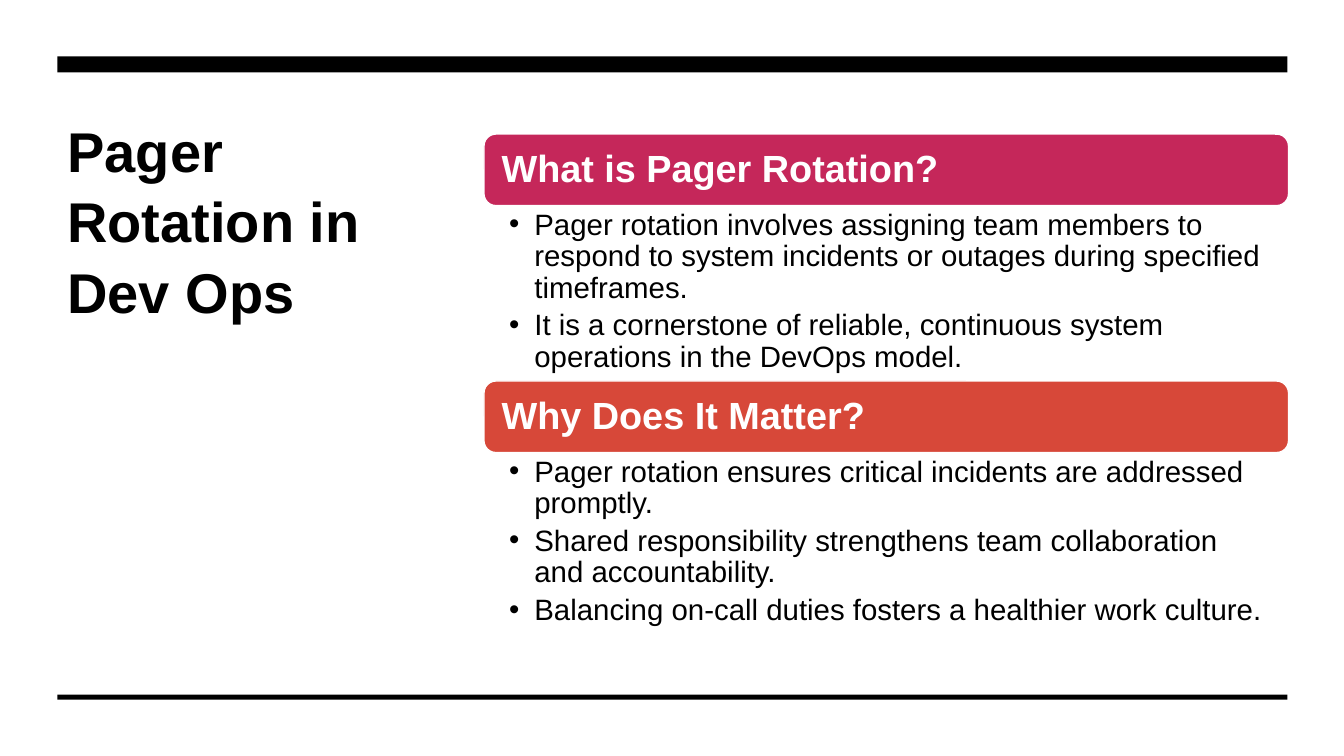
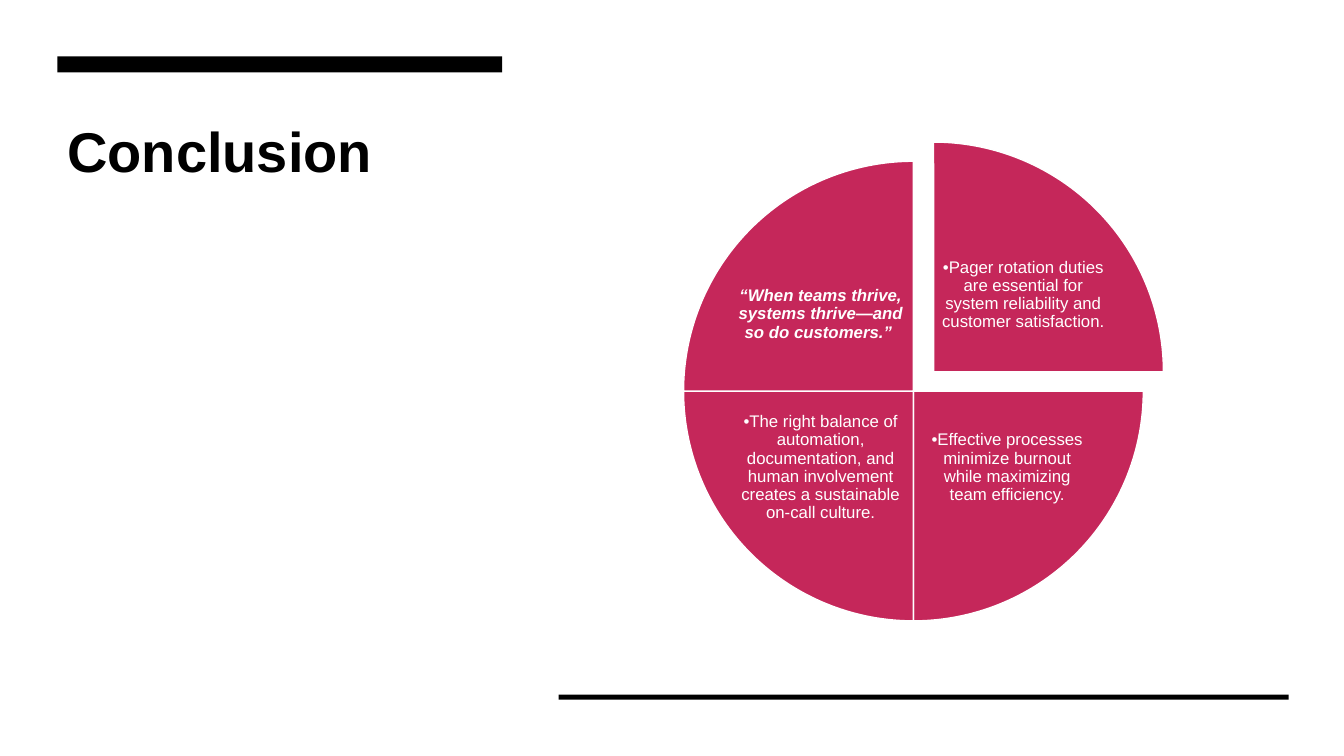
from pptx import Presentation
from pptx.dml.color import RGBColor
from pptx.enum.shapes import MSO_SHAPE
from pptx.enum.text import MSO_ANCHOR, PP_ALIGN
from pptx.oxml.ns import qn
from pptx.util import Inches, Pt
from lxml.etree import SubElement

BLACK = RGBColor(0x00, 0x00, 0x00)
WHITE = RGBColor(0xFF, 0xFF, 0xFF)
PINK = RGBColor(0xC5, 0x27, 0x5A)
ORANGE = RGBColor(0xD7, 0x48, 0x39)

FONT = "Arial"
TITLE = {"size": Pt(40), "bold": True, "color": BLACK}
HEADING = {"size": Pt(27), "bold": True, "color": WHITE}
BODY = {"size": Pt(21), "color": BLACK}
WEDGE = {"size": Pt(12), "color": WHITE}
QUOTE = {**WEDGE, "bold": True, "italic": True}

MARGIN = 0.57

# heading, colour, height of the bullet text, bullets
SECTIONS = [
    ("What is Pager Rotation?", PINK, 1.74, [
        "Pager rotation involves assigning team members to respond to system "
        "incidents or outages during specified timeframes.",
        "It is a cornerstone of reliable, continuous system operations in the "
        "DevOps model.",
    ]),
    ("Why Does It Matter?", ORANGE, 1.8, [
        "Pager rotation ensures critical incidents are addressed promptly.",
        "Shared responsibility strengthens team collaboration and accountability.",
        "Balancing on-call duties fosters a healthier work culture.",
    ]),
]
SECTION_LEFT, SECTION_TOP, SECTION_WIDTH, HEADING_HEIGHT = 4.8, 1.33, 7.98, 0.71

# clockwise from top right: circle position, text position, style, text
WEDGES = [
    ((6.98, 1.41), (9.31, 2.25), WEDGE,
     "•Pager rotation duties are essential for system reliability and "
     "customer satisfaction."),
    ((6.78, 1.6), (9.15, 3.96), WEDGE,
     "•Effective processes minimize burnout while maximizing team efficiency."),
    ((6.78, 1.6), (7.3, 3.96), WEDGE,
     "•The right balance of automation, documentation, and human involvement "
     "creates a sustainable on-call culture."),
    ((6.78, 1.6), (7.3, 2.44), QUOTE,
     "“When teams thrive, systems thrive—and so do customers.” "),
]
DIAMETER = 4.56
QUARTER, FULL_TURN = 54, 216  # pie adjustments, 0.6 per degree


def add_box(slide, kind, box, fill, line=None):
    sp = slide.shapes.add_shape(kind, *map(Inches, box))
    sp.shadow.inherit = False
    sp.fill.solid()
    sp.fill.fore_color.rgb = fill
    if line is None:
        sp.line.fill.background()
    else:
        sp.line.color.rgb = line
        sp.line.width = Pt(1)
    return sp


def write(sp, paragraphs, style, insets, anchor=MSO_ANCHOR.TOP,
          align=PP_ALIGN.LEFT, spacing=0.9):
    """Fill a shape with equally styled paragraphs and return them."""
    tf = sp.text_frame
    tf.word_wrap = True
    tf.vertical_anchor = anchor
    for side, inset in zip(("left", "top", "right", "bottom"), insets):
        setattr(tf, f"margin_{side}", Inches(inset))
    for i, text in enumerate(paragraphs):
        p = tf.add_paragraph() if i else tf.paragraphs[0]
        p.alignment = align
        p.line_spacing = spacing
        r = p.add_run()
        r.text = text
        r.font.name = FONT
        for name, value in style.items():
            if name == "color":
                r.font.color.rgb = value
            else:
                setattr(r.font, name, value)
    return tf.paragraphs


def add_text(slide, box, paragraphs, style, insets, **layout):
    sp = slide.shapes.add_textbox(*map(Inches, box))
    return write(sp, paragraphs, style, insets, **layout)


def add_bullet(p):
    p.space_after = Pt(4)
    pPr = p._p.get_or_add_pPr()
    pPr.set("marL", str(Inches(0.25)))
    pPr.set("indent", str(-Inches(0.25)))
    SubElement(pPr, qn("a:buFont"), typeface=FONT)
    SubElement(pPr, qn("a:buChar"), char="•")


def add_slide(prs, title, title_size, band_width, rule_left, rule_width):
    slide = prs.slides.add_slide(prs.slide_layouts[6])
    add_text(slide, (MARGIN, 1.07, *title_size), [title], TITLE,
             (0.1, 0.05, 0.1, 0.05), spacing=1.05)
    add_box(slide, MSO_SHAPE.RECTANGLE, (MARGIN, 0.56, band_width, 0.16), BLACK)
    add_box(slide, MSO_SHAPE.RECTANGLE, (rule_left, 6.89, rule_width, 0.05), BLACK)
    return slide


def build_pager_rotation(prs):
    slide = add_slide(prs, "Pager Rotation in Dev Ops", (3.45, 4.45),
                      12.2, MARGIN, 12.2)
    top = SECTION_TOP
    for heading, color, height, bullets in SECTIONS:
        bar = add_box(slide, MSO_SHAPE.ROUNDED_RECTANGLE,
                      (SECTION_LEFT, top, SECTION_WIDTH, HEADING_HEIGHT),
                      color, WHITE)
        write(bar, [heading], HEADING, (0.14, 0.11, 0.14, 0.11),
              anchor=MSO_ANCHOR.MIDDLE)
        top += HEADING_HEIGHT
        for p in add_text(slide, (SECTION_LEFT, top, SECTION_WIDTH, height),
                          bullets, BODY, (0.25, 0.04, 0.21, 0.04)):
            add_bullet(p)
        top += height


def build_conclusion(prs):
    slide = add_slide(prs, "Conclusion", (4.41, 3.68), 4.41, 5.54, 7.24)
    for i, (circle, label, style, text) in enumerate(WEDGES):
        pie = add_box(slide, MSO_SHAPE.PIE, (*circle, DIAMETER, DIAMETER),
                      PINK, WHITE)
        pie.adjustments[0] = (i - 1) * QUARTER % FULL_TURN
        pie.adjustments[1] = i * QUARTER
        add_text(slide, (*label, 1.68, 1.36), [text], style, (0.02,) * 4,
                 anchor=MSO_ANCHOR.MIDDLE, align=PP_ALIGN.CENTER)


def main():
    prs = Presentation()
    prs.slide_width, prs.slide_height = Inches(13.33), Inches(7.5)
    build_pager_rotation(prs)
    build_conclusion(prs)
    prs.save("out.pptx")


if __name__ == "__main__":
    main()
